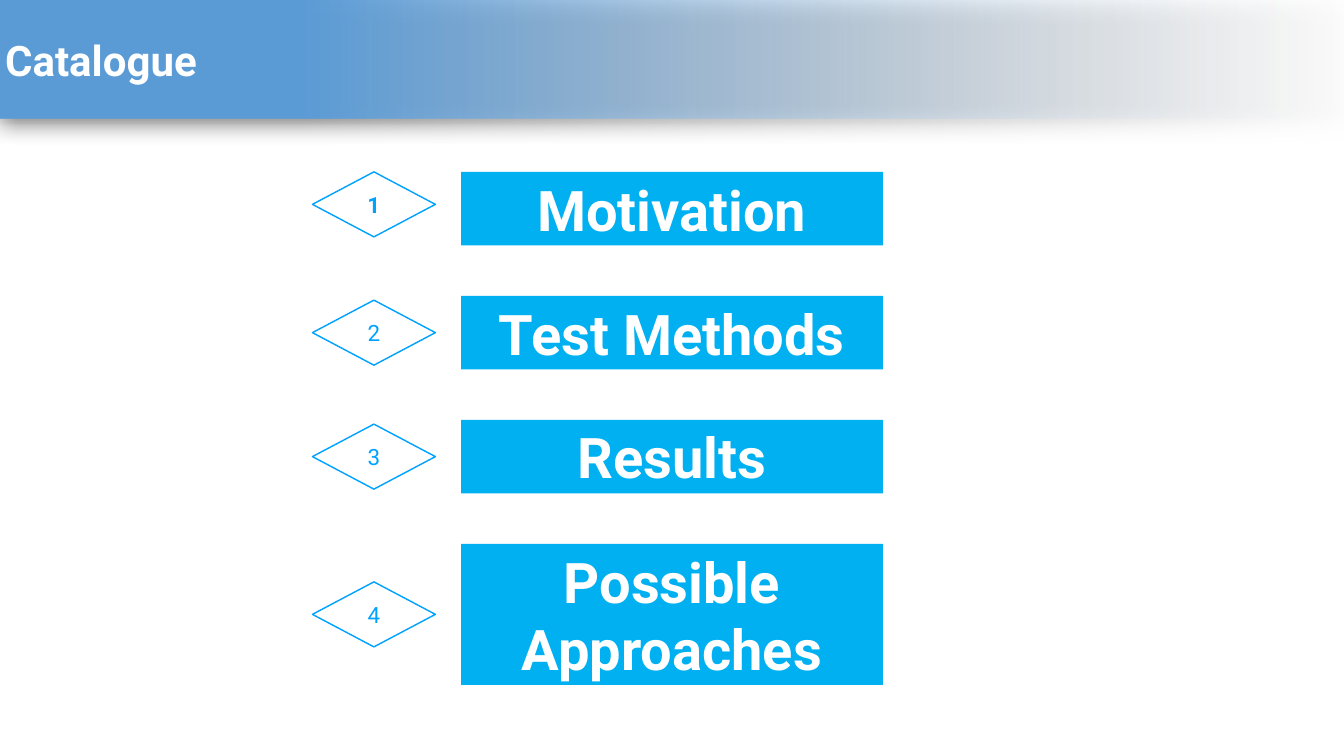
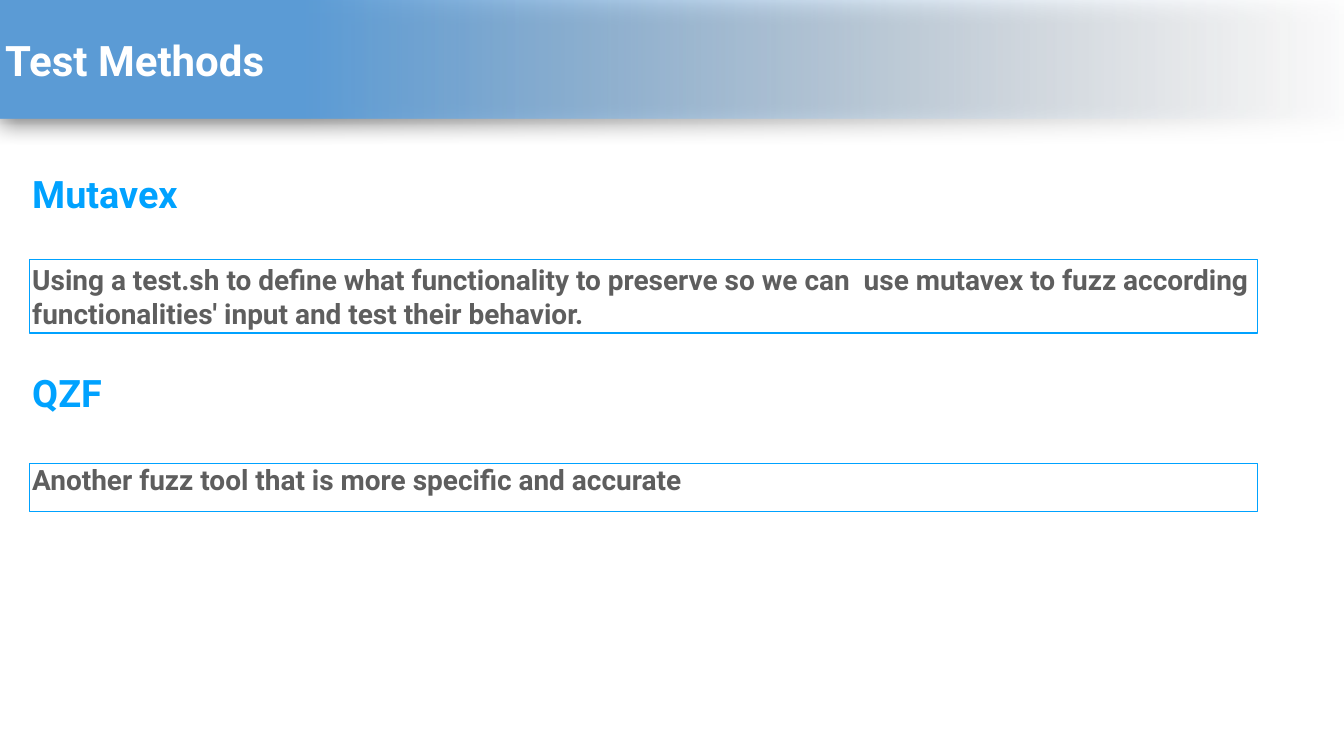
import dataclasses

import lxml.etree
import pptx
import pptx.dml.color
import pptx.enum.shapes
import pptx.enum.text
import pptx.oxml.ns
import pptx.util

ALIGN = pptx.enum.text.PP_ALIGN
ANCHOR = pptx.enum.text.MSO_ANCHOR
SHAPE = pptx.enum.shapes.MSO_SHAPE


@dataclasses.dataclass(frozen=True)
class Theme:
    """Colours, type sizes and measures (inches) that the slides share."""
    width: float = 26.67
    height: float = 15
    font: str = "Roboto"
    white: str = "FFFFFF"
    accent: str = "00A2FF"
    bar: str = "00B0F0"
    body: str = "5E5E5E"
    band: str = "5B9BD5"
    band_fade: str = "F6F8FC"
    shadow: str = "000000"
    title_size: int = 60
    bar_size: int = 80
    heading_size: int = 54
    body_size: int = 40
    number_size: int = 32
    inset: float = 0.06
    band_width: float = 27.26
    band_height: float = 2.35


THEME = Theme()


def colour(value):
    return pptx.dml.color.RGBColor.from_string(value)


def write_text(shape, text, *, size, color, bold=True, align=ALIGN.LEFT,
               anchor=ANCHOR.MIDDLE, inset=(THEME.inset, THEME.inset),
               spacing=1.0):
    """Put one formatted paragraph into a shape; inset is (side, top)."""
    frame = shape.text_frame
    frame.word_wrap = True
    frame.auto_size = pptx.enum.text.MSO_AUTO_SIZE.NONE
    frame.vertical_anchor = anchor
    frame.margin_left = frame.margin_right = pptx.util.Inches(inset[0])
    frame.margin_top = frame.margin_bottom = pptx.util.Inches(inset[1])
    paragraph = frame.paragraphs[0]
    paragraph.alignment = align
    paragraph.line_spacing = spacing
    run = paragraph.add_run()
    run.text = text
    run.font.name = THEME.font
    run.font.size = pptx.util.Pt(size)
    run.font.bold = bold
    run.font.color.rgb = colour(color)


def add_box(slide, kind, box, text, *, fill, line=None, line_width=2, **text_format):
    """Add a flat preset shape with text; box is left, top, width, height."""
    shape = slide.shapes.add_shape(kind, *map(pptx.util.Inches, box))
    shape.shadow.inherit = False
    shape.fill.solid()
    shape.fill.fore_color.rgb = colour(fill)
    if line:
        shape.line.color.rgb = colour(line)
        shape.line.width = pptx.util.Pt(line_width)
    else:
        shape.line.fill.background()
    write_text(shape, text, **text_format)


def add_heading(slide, box, text):
    heading = slide.shapes.add_textbox(*map(pptx.util.Inches, box))
    write_text(heading, text, size=THEME.heading_size, color=THEME.accent,
               anchor=ANCHOR.TOP)


def fade_band(shape):
    """Fill from the band colour to transparent at the right edge."""
    shape.fill.gradient()
    shape.fill.gradient_angle = 180
    stops = shape.fill.gradient_stops
    for stop, position, value in zip(stops, (0, 0.78), (THEME.band_fade, THEME.band)):
        stop.position = position
        stop.color.rgb = colour(value)
    qualified = pptx.oxml.ns.qn
    properties = shape.element.spPr
    clear = properties.find(".//" + qualified("a:srgbClr"))
    lxml.etree.SubElement(clear, qualified("a:alpha"), val="0")

    # Soft shadow under the band
    shape.shadow.inherit = False
    effects = properties.find(qualified("a:effectLst"))
    shadow = lxml.etree.SubElement(
        effects, qualified("a:outerShdw"), blurRad=str(pptx.util.Pt(31)),
        dist=str(pptx.util.Pt(6)), dir=str(97 * 60000), algn="t", rotWithShape="0")
    shade = lxml.etree.SubElement(shadow, qualified("a:srgbClr"), val=THEME.shadow)
    lxml.etree.SubElement(shade, qualified("a:alpha"), val="50000")


def add_titled_slide(presentation, text):
    """Title-only slide whose title is the band across the top."""
    slide = presentation.slides.add_slide(presentation.slide_layouts[5])
    title = slide.shapes.title
    title.left = title.top = 0
    title.width = pptx.util.Inches(THEME.band_width)
    title.height = pptx.util.Inches(THEME.band_height)
    fade_band(title)
    write_text(title, text, size=THEME.title_size, color=THEME.white,
               inset=(0.1, 0.05))
    return slide


def build_catalogue(presentation):
    slide = add_titled_slide(presentation, "Catalogue")
    bar_left, bar_width, gap = 9.15, 8.37, 1.0
    diamond_left, diamond_width, diamond_height = 6.2, 2.44, 1.29
    one_line, two_lines = 1.46, 2.8
    entries = [("Motivation", one_line), ("Test Methods", one_line),
               ("Results", one_line), ("Possible Approaches", two_lines)]
    top = 3.41
    for number, (label, height) in enumerate(entries, start=1):
        first = number == 1
        add_box(slide, SHAPE.RECTANGLE, (bar_left, top, bar_width, height), label,
                fill=THEME.bar, size=THEME.bar_size, color=THEME.white,
                align=ALIGN.CENTER)
        # The first diamond is flush with its bar, the others are centred on it
        drop = 0 if first else (height - diamond_height) / 2
        add_box(slide, SHAPE.DIAMOND,
                (diamond_left, top + drop, diamond_width, diamond_height),
                str(number), fill=THEME.white, line=THEME.accent,
                size=THEME.number_size, color=THEME.accent, bold=first,
                align=ALIGN.CENTER)
        top += height + gap


def build_test_methods(presentation):
    slide = add_titled_slide(presentation, "Test Methods")
    left, width, heading_height = 0.58, 24.38, 1.42
    body = dict(fill=THEME.white, line=THEME.accent, size=THEME.body_size,
                color=THEME.body)

    # First tool
    add_heading(slide, (left, 3.33, 4.57, heading_height), "Mutavex")
    add_box(slide, SHAPE.RECTANGLE, (left, 5.15, width, 1.46),
            "Using a test.sh to define what functionality to preserve so we can  "
            "use mutavex to fuzz according functionalities' input and test their "
            "behavior.", **body)

    # Second tool
    add_heading(slide, (left, 7.27, 5.5, heading_height), "QZF")
    add_box(slide, SHAPE.RECTANGLE, (left, 9.19, width, 0.96),
            "Another fuzz tool that is more specific and accurate",
            line_width=1, anchor=ANCHOR.TOP, spacing=0.9, **body)


def main():
    presentation = pptx.Presentation()
    presentation.slide_width = pptx.util.Inches(THEME.width)
    presentation.slide_height = pptx.util.Inches(THEME.height)
    build_catalogue(presentation)
    build_test_methods(presentation)
    presentation.save("out.pptx")


main()
